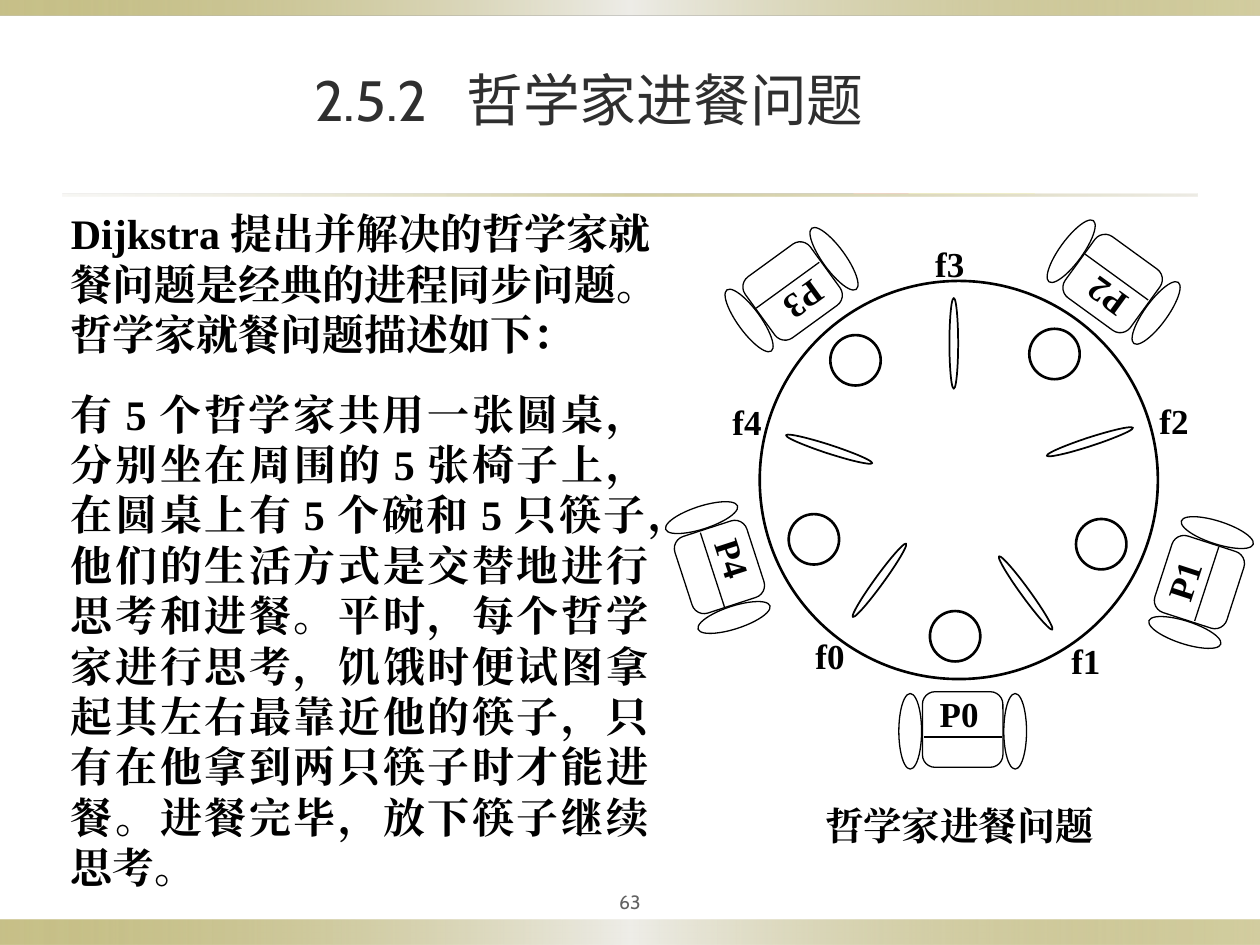
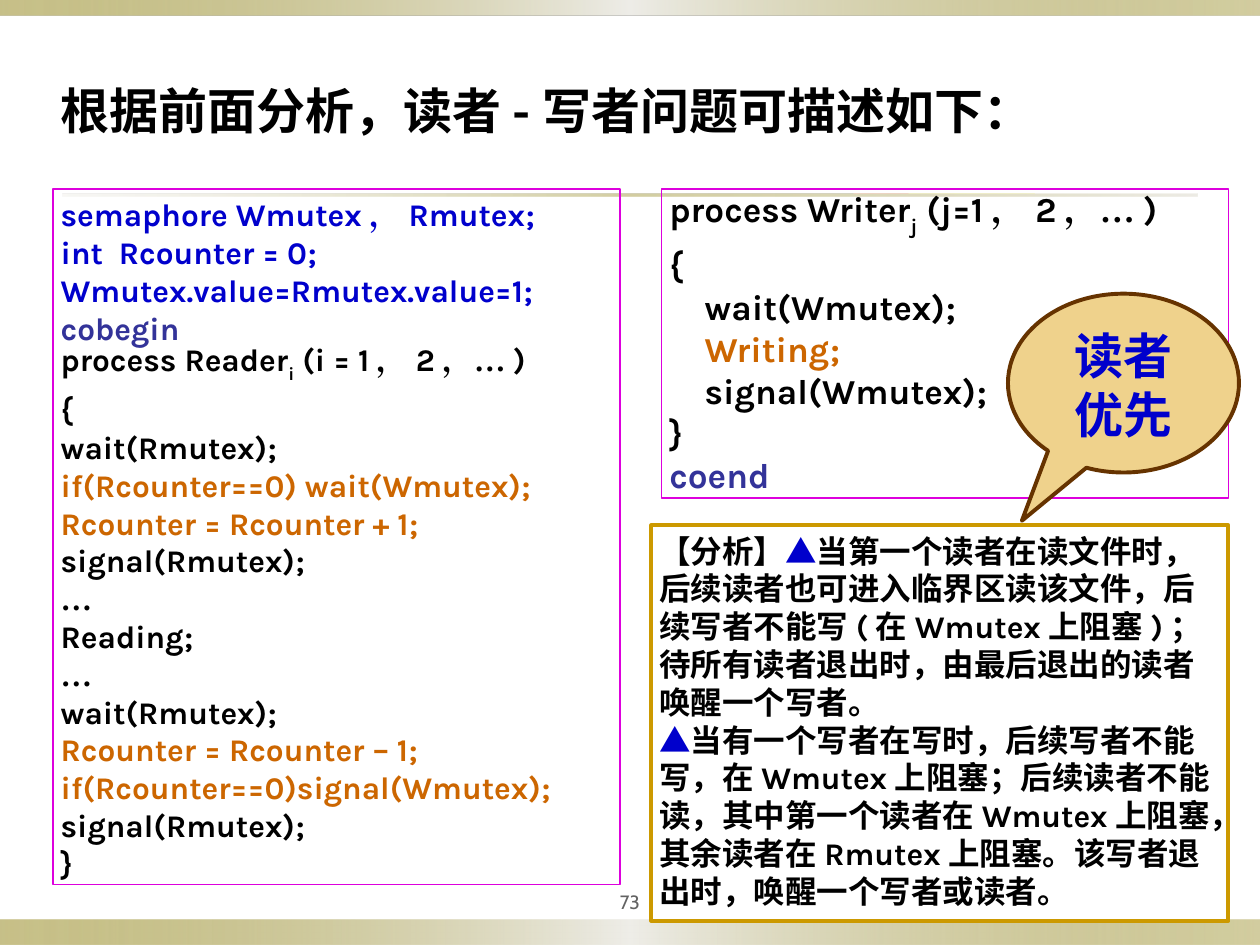
from dataclasses import dataclass
from math import cos, radians, sin
from typing import NamedTuple

from lxml import etree
from pptx import Presentation
from pptx.dml.color import RGBColor
from pptx.enum import lang, shapes, text
from pptx.oxml.ns import qn
from pptx.util import Pt

FORM = shapes.MSO_SHAPE
ALIGN = text.PP_ALIGN


@dataclass(frozen=True)
class Theme:
    black: str = "000000"
    white: str = "FFFFFF"
    blue: str = "0000CC"
    navy: str = "333399"
    orange: str = "CC6600"
    pink: str = "DD00DD"
    gold: str = "CC9900"
    sand: str = "EFD28C"
    brown: str = "663300"
    dark: str = "2F2F2F"
    grey: str = "636363"
    band: tuple = (("918415", 50), ("EEEDE8", 100), ("918415", 40))
    rule: tuple = (("DCD9CC", 20), ("918415", 40), ("DCD9CC", 50))
    serif: str = "Times New Roman"
    code: str = "Karla"
    plain: str = "Cabin"
    han: str = "Noto Sans CJK SC"
    title: float = 32.4
    head: float = 28
    body: float = 24
    mark: float = 22
    label: float = 20
    small: float = 18
    foot: float = 11


class Bit(NamedTuple):
    """A run; empty fields take the paragraph's style."""
    text: str
    ink: str = ""
    font: str = ""
    sub: bool = False


def rgb(ink):
    return RGBColor.from_string(ink)


def turn(x, y, angle):
    """Rotate an offset clockwise by an angle in degrees."""
    a = radians(angle)
    return x * cos(a) - y * sin(a), x * sin(a) + y * cos(a)


def face(font, props, name):
    """Set the Latin and the East Asian typeface."""
    font.name = name
    etree.SubElement(props, qn("a:ea")).set("typeface", name)


class Deck:
    def __init__(self, theme):
        self.t = theme
        self.prs = Presentation()
        self.prs.slide_width, self.prs.slide_height = Pt(720), Pt(540)
        self.slide = None

    def page(self, number):
        """Start a slide with its bands, rule and page number."""
        t = self.t
        self.slide = self.prs.slides.add_slide(self.prs.slide_layouts[6])
        self.strip((0, 525.6, 720, 14.4), t.band)
        self.strip((0, 0, 720, 8.64), t.band)
        self.strip((36, 110.88, 648, 1.44), t.rule)
        self.text((324, 504, 72, 22.3), [number], t.foot, t.plain, t.grey,
                  bold=False, align=ALIGN.CENTER, mid=True)

    def shape(self, form, box, fill=None, line=None, width=0.75, rot=0):
        item = self.slide.shapes.add_shape(form, *map(Pt, box))
        item.shadow.inherit = False
        item.rotation = rot
        if fill:
            item.fill.solid()
            item.fill.fore_color.rgb = rgb(fill)
        else:
            item.fill.background()
        if line:
            item.line.color.rgb = rgb(line)
            item.line.width = Pt(width)
        else:
            item.line.fill.background()
        return item

    def strip(self, box, stops):
        """Draw a bar with a see-through gradient."""
        bar = self.shape(FORM.RECTANGLE, box)
        bar.fill.gradient()
        bar.fill.gradient_angle = 0
        holder = bar._element.spPr.find(".//" + qn("a:gsLst"))
        for old in list(holder):
            holder.remove(old)
        for i, (ink, alpha) in enumerate(stops):
            stop = etree.SubElement(holder, qn("a:gs"), pos=str(i * 50000))
            tint = etree.SubElement(stop, qn("a:srgbClr"), val=ink)
            etree.SubElement(tint, qn("a:alpha"), val=str(alpha * 1000))

    def oval(self, x, y, w, h, width, rot=0):
        """Draw an unfilled ellipse around a centre."""
        self.shape(FORM.OVAL, (x - w / 2, y - h / 2, w, h),
                   line=self.t.black, width=width, rot=rot)

    def line(self, start, end):
        item = self.slide.shapes.add_connector(
            shapes.MSO_CONNECTOR.STRAIGHT, *map(Pt, (*start, *end)))
        item.line.color.rgb = rgb(self.t.black)
        item.line.width = Pt(0.75)
        etree.SubElement(item._element.spPr, qn("a:effectLst"))

    def text(self, box, paras, *style, rot=0, **more):
        item = self.slide.shapes.add_textbox(*map(Pt, box))
        item.rotation = rot
        self.fill(item, paras, *style, **more)

    def fill(self, item, paras, size, name, ink, bold=True,
             align=ALIGN.LEFT, mid=False, lead=1.2):
        """Write paragraphs, each a string or a list of Bits, into a shape."""
        frame = item.text_frame
        frame.word_wrap = True
        frame.margin_left = frame.margin_right = Pt(4.5)
        frame.margin_top = frame.margin_bottom = Pt(3.6)
        frame.vertical_anchor = (text.MSO_ANCHOR.MIDDLE if mid
                                 else text.MSO_ANCHOR.TOP)
        for i, para in enumerate(paras):
            p = frame.add_paragraph() if i else frame.paragraphs[0]
            bits = [Bit(para)] if isinstance(para, str) else para
            inks = {b.ink or ink for b in bits}
            names = {b.font or name for b in bits}
            p.alignment = align
            if lead:
                p.line_spacing = Pt(size * lead)
            if any(b.sub for b in bits):
                p.space_after = Pt(3.4)
            p.font.size, p.font.bold = Pt(size), bold
            p.font.language_id = lang.MSO_LANGUAGE_ID.SIMPLIFIED_CHINESE
            if len(inks) == 1:
                p.font.color.rgb = rgb(min(inks))
            if len(names) == 1:
                face(p.font, p._p.pPr.find(qn("a:defRPr")), min(names))
            for b in bits:
                run = p.add_run()
                run.text = b.text
                if len(inks) > 1:
                    run.font.color.rgb = rgb(b.ink or ink)
                if len(names) > 1:
                    face(run.font, run._r.get_or_add_rPr(), b.font or name)
                if b.sub:
                    run._r.get_or_add_rPr().set("baseline", "-30000")

    def label(self, x, y, w, words, rot=0):
        self.text((x - w / 2, y - 15.5, w, 31), [words], self.t.label,
                  self.t.serif, self.t.black, rot=rot)

    def chair(self, x, y, rot, name):
        """Draw a named seat with two arms, turned about its centre."""
        def at(dx, dy):
            tx, ty = turn(dx, dy, rot)
            return x + tx, y + ty

        self.shape(FORM.ROUNDED_RECTANGLE, (x - 23, y - 21.6, 46, 43.2),
                   line=self.t.black, rot=rot)
        for side in (30, -30):
            self.oval(*at(side, 1), 13, 43.2, 0.75, rot)
        self.line(at(-22, 4.3), at(22.6, 4.3))
        self.label(*at(0, -9), 35.3, name, rot)


def dine(deck):
    t = deck.t
    deck.page("63")
    deck.text((64, 31.7, 545, 49.7),
              [[Bit("2.5.2  "), Bit("哲学家进餐问题", font=t.han)]],
              t.title, t.plain, t.dark, bold=False, align=ALIGN.CENTER,
              mid=True, lead=None)
    style = (t.body, t.serif, t.black)
    deck.text((36, 115.2, 360, 93.6), [
        "Dijkstra提出并解决的哲学家就餐问题是经典的进程同步问题。"
        "哲学家就餐问题描述如下："], *style)
    deck.text((36, 218.2, 339, 269.3), [
        "有5个哲学家共用一张圆桌，分别坐在周围的5张椅子上，"
        "在圆桌上有5个碗和5只筷子，他们的生活方式是交替地进行思考和进餐。"
        "平时，每个哲学家进行思考，饥饿时便试图拿起其左右最靠近他的筷子，"
        "只有在他拿到两只筷子时才能进餐。进餐完毕，放下筷子继续思考。"],
        *style, align=ALIGN.JUSTIFY)

    seats = [(550.1, 416.9), (685.4, 332.6), (635.8, 162),
             (452.9, 166.3), (411.1, 324)]
    bowls = [(545.8, 363.6), (629.3, 311), (602.6, 202.3),
             (488.9, 205.9), (465.1, 308.2)]
    sticks = [(502.6, 331.6), (586.1, 338.8), (622.8, 252.4),
              (545, 196.2), (473.8, 256.7)]
    marks = [(477, 374.8), (623.2, 377.6), (673.6, 240.1),
             (545.4, 150.8), (429.5, 240.8)]
    for i, seat in enumerate(seats):
        deck.chair(*seat, -72 * i % 360, f"P{i}")
    deck.oval(547.9, 274.3, 227.5, 227.5, 1.5)
    for bowl in bowls:
        deck.oval(*bowl, 28.8, 28.8, 1.5)
    for i, (stick, mark) in enumerate(zip(sticks, marks)):
        deck.oval(*stick, 51.8, 5, 1, 306 - 72 * i)
        deck.label(*mark, 31, f"f{i}")
    deck.text((403.2, 455, 290.2, 33.8), ["哲学家进餐问题"],
              t.mark, t.serif, t.black, align=ALIGN.CENTER)


def share(deck):
    t = deck.t

    def tint(ink, *lines):
        return [[Bit(line, ink)] for line in lines]

    def process(name, index, start):
        return [Bit(f"process {name}"), Bit(index, sub=True), Bit(start),
                Bit("，", font=t.serif), Bit("2"),
                Bit("，…", font=t.serif), Bit(")")]

    dots = [Bit("…", font=t.serif)]
    reader = [
        [Bit("semaphore Wmutex", t.blue), Bit("，", t.blue, t.serif),
         Bit("Rmutex;", t.blue)],
        *tint(t.blue, "int  Rcounter = 0;", "Wmutex.value=Rmutex.value=1;"),
        *tint(t.navy, "cobegin"),
        process("Reader", "i", " (i = 1"), "{", "wait(Rmutex);",
        *tint(t.orange, "if(Rcounter==0) wait(Wmutex);",
              "Rcounter = Rcounter + 1;"),
        "signal(Rmutex);", dots, "Reading;", dots, "wait(Rmutex);",
        *tint(t.orange, "Rcounter = Rcounter – 1;",
              "if(Rcounter==0)signal(Wmutex);"),
        "signal(Rmutex);", "}"]
    writer = [
        process("Writer", "j", " (j=1"), "{", "    wait(Wmutex);",
        *tint(t.orange, "    Writing;"), "    signal(Wmutex);", "}",
        *tint(t.navy, "coend")]
    peak = Bit("▲", t.blue)
    notes = [
        [Bit("【分析】"), peak,
         Bit("当第一个读者在读文件时，后续读者也可进入临界区读该文件，"
             "后续写者不能写(在Wmutex上阻塞)；待所有读者退出时，"
             "由最后退出的读者唤醒一个写者。")],
        [peak,
         Bit("当有一个写者在写时，后续写者不能写，在Wmutex上阻塞；"
             "后续读者不能读，其中第一个读者在Wmutex上阻塞，"
             "其余读者在Rmutex上阻塞。该写者退出时，唤醒一个写者或读者。")]]

    deck.page("73")
    deck.text((30.2, 42.5, 627, 41), ["根据前面分析，读者-写者问题可描述如下："],
              t.head, t.han, t.black)
    for box, lines, size in (((30.2, 108, 324, 397.4), reader, t.small),
                             ((378, 108, 324, 176.4), writer, t.label)):
        panel = deck.shape(FORM.RECTANGLE, box, line=t.pink, width=1)
        deck.fill(panel, lines, size, t.code, t.black, align=ALIGN.JUSTIFY)
    panel = deck.shape(FORM.RECTANGLE, (372.2, 300.2, 329.8, 226),
                       t.white, t.gold, 2.25)
    deck.fill(panel, notes, t.small, t.code, t.black)
    bubble = deck.shape(FORM.OVAL_CALLOUT, (576, 167.8, 132, 102.2),
                        t.sand, t.brown, 2.25)
    bubble.adjustments[0], bubble.adjustments[1] = -0.44, 0.77
    deck.fill(bubble, ["读者", "优先"], t.head, t.plain, t.blue,
              align=ALIGN.CENTER)


def main():
    deck = Deck(Theme())
    dine(deck)
    share(deck)
    deck.prs.save("out.pptx")


if __name__ == "__main__":
    main()
